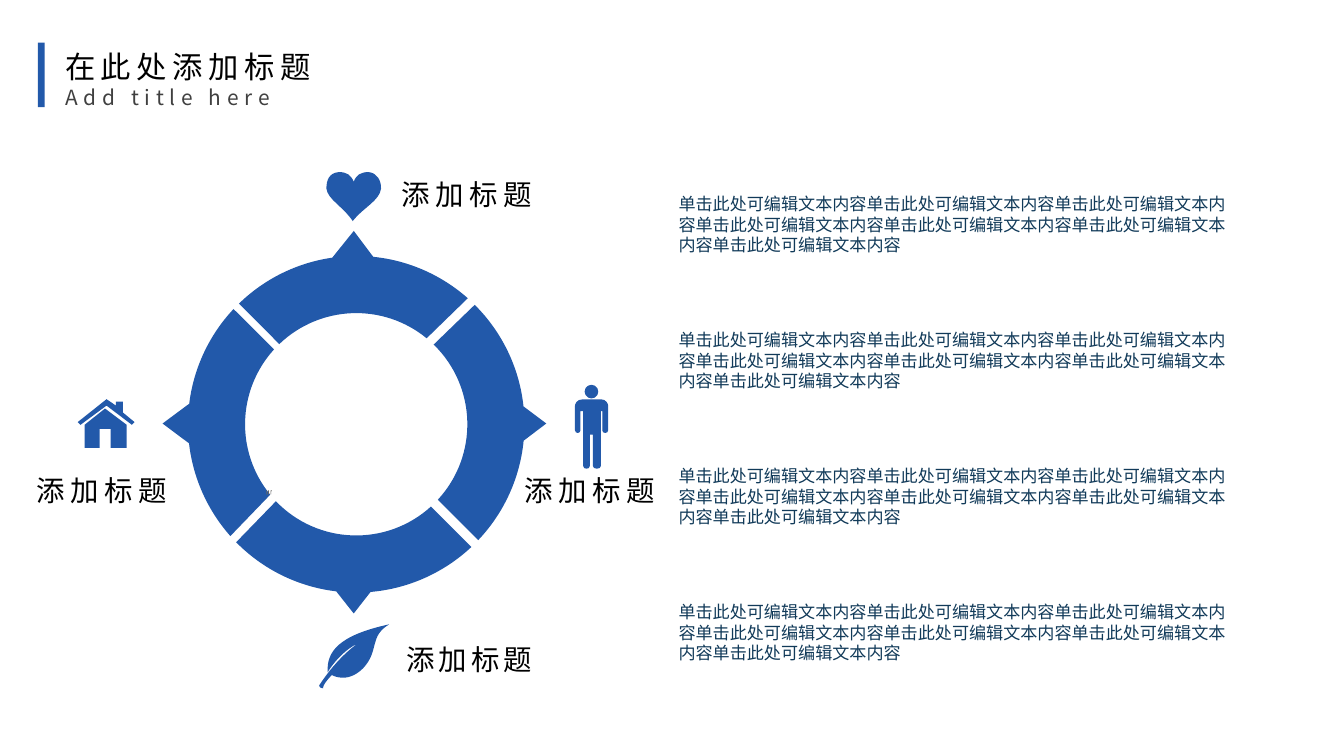
from math import cos, radians, sin, tan
from pptx import Presentation
from pptx.dml.color import RGBColor
from pptx.enum.shapes import MSO_SHAPE
from pptx.enum.text import MSO_ANCHOR, MSO_AUTO_SIZE, PP_ALIGN
from pptx.oxml.ns import qn
from pptx.util import Pt

BLUE = RGBColor(0x22, 0x59, 0xAA)
NAVY = RGBColor(0x11, 0x3A, 0x59)
BLACK = RGBColor(0, 0, 0)
DARK = RGBColor(0x40, 0x40, 0x40)
GREY = RGBColor(0x66, 0x66, 0x66)
SANS, BODY = "Noto Sans CJK SC", "Calibri"

TITLE = "在此处添加标题"
SUB = "Add title here"
LABEL = "添加标题"
NOTE = "单击此处可编辑文本内容" * 7
NOTES = [NOTE] * 4

LABELS = [
    (207.4, 335.5, 80, 2.2),
    (12, 246.5, 83.5, 3),
    (204.3, 90.5, 83.5, 3),
    (269.3, 246.5, 83.5, 3),
]

HUB = (187.8, 223.6)
OUTER, INNER = 88.7, 58.6
ARCS = [
    (46.8, 85.1, 96.8, 135.5, 136.2, 47.7, (186.5, 323.3)),
    (-45.2, -6.1, 5.6, 43.5, 42.7, -45.8, (288, 223.2)),
    (138.4, 173.5, 187, 223.2, 222.3, 140.7, (85.7, 223.2)),
    (225.8, 261.8, 275.8, 311.5, 309.3, 226.2, (186.5, 121.7)),
]

HOUSE = [(55.4, 215.3), (44.6, 223.9), (44.6, 236), (52.6, 236), (52.6, 226.1),
         (58.3, 226.1), (58.3, 236), (66.8, 236), (66.8, 223.9)]
ROOF = [(64.8, 217.4), (64.8, 211.7), (61.2, 211.7), (61.2, 213.8), (56.2, 210.4),
        (41, 222.5), (42.5, 223.9), (56.2, 213.8), (69.6, 223.9), (71, 222.5)]
MAN = [(316.8, 210.4), (307.4, 210.4), (303.8, 210.4, 303.1, 213.1, 303.1, 213.8),
       (303.1, 226.8), (303.1, 228.6, 306, 228.6, 306, 226.8), (306, 216.7),
       (307.4, 216.7), (307.4, 245.5), (307.4, 247.5, 311, 247.5, 311, 245.5),
       (311, 229), (312.5, 229), (312.5, 245.5),
       (312.5, 247.5, 316.8, 247.5, 316.8, 245.5), (316.8, 216.7), (317.5, 216.7),
       (317.5, 226.8), (317.5, 228.6, 320.6, 228.6, 320.6, 226.8), (320.6, 213.8),
       (320.6, 213.1, 319.7, 210.4, 316.8, 210.4)]
LEAF = [(168.3, 361.2), (168.3, 361.2, 168.3, 362.7, 170.4, 362.7),
        (169.9, 360.7, 175, 355.7, 175, 355.7),
        (175, 355.7, 182.9, 360.7, 191.5, 352.1),
        (200.2, 342.7, 194.4, 335.5, 205.2, 329),
        (178.6, 334.8, 172.1, 343.4, 172.8, 354.2),
        (175.7, 349.2, 182.2, 342, 188.6, 339.1),
        (178.6, 346.3, 171.4, 356.4, 168.3, 361.2)]
HEART = [(186.5, 95.8), (185, 92.2, 182.9, 90.7, 178.6, 90.7),
         (173.5, 91.2, 172.1, 95, 172.1, 99.4),
         (172.8, 105.1, 180.7, 108.7, 186, 116.5),
         (191.5, 109.4, 200.2, 105.8, 200.9, 99.4),
         (201, 95, 198.7, 91.2, 194.4, 90.7),
         (190.1, 90.7, 187.9, 92.2, 186.5, 95.8)]
MARKS = [
    [(140.4, 258.5), (140.7, 258.5), (140.7, 260.4), (141.2, 260.4),
     (141.2, 258.5), (141.8, 258.5), (141.8, 260.6), (140.4, 260.6)],
    [(142.6, 258.5), (143.3, 258.5), (143.3, 258.8), (142.9, 258.8),
     (142.9, 260.6), (142.6, 260.6)],
]


def paint(shape, color):
    shape.shadow.inherit = False
    shape.fill.solid()
    shape.fill.fore_color.rgb = color
    shape.line.fill.background()


def spot(size, angle):
    turn = radians(angle)
    return HUB[0] + size * cos(turn), HUB[1] + size * sin(turn)


def arc(size, start, end):
    pull = 4 / 3 * tan(radians(end - start) / 4)
    (x, y), (u, v) = spot(size, start), spot(size, end)
    return (x - pull * (y - HUB[1]), y + pull * (x - HUB[0]),
            u + pull * (v - HUB[1]), v - pull * (u - HUB[0]), u, v)


def ring(start, base, crest, end, back, front, tip):
    return [spot(OUTER, start), arc(OUTER, start, base), tip, spot(OUTER, crest),
            arc(OUTER, crest, end), spot(INNER, back), arc(INNER, back, front)]


def draw(slide, steps, color=BLUE):
    dots = [(Pt(s[i]), Pt(s[i + 1])) for s in steps for i in range(0, len(s), 2)]
    pen = slide.shapes.build_freeform(*dots[0])
    pen.add_line_segments(dots[1:], close=True)
    shape = pen.convert_to_shape()
    paint(shape, color)
    trail = shape._element.find(".//" + qn("a:path"))
    lines = iter(trail.findall(qn("a:lnTo")))
    for step in steps[1:]:
        group = [next(lines) for _ in range(len(step) // 2)]
        if len(group) == 3:
            curve = trail.makeelement(qn("a:cubicBezTo"), {})
            group[0].addprevious(curve)
            for line in group:
                curve.append(line[0])
                trail.remove(line)


def frame(shape, text, wrap):
    box = shape.text_frame
    box.text = text
    box.word_wrap = wrap
    box.auto_size = MSO_AUTO_SIZE.NONE
    box.vertical_anchor = MSO_ANCHOR.TOP
    box.margin_left = box.margin_right = Pt(5.1)
    box.margin_top = box.margin_bottom = Pt(2.6)
    return box.paragraphs


def style(line, size, font, color, align, gap=0):
    line.alignment = align
    for run in line.runs:
        run.font.size = Pt(size)
        run.font.name = font
        run.font.color.rgb = color
        props = run.font._element
        if gap:
            props.set("spc", str(round(gap * 100)))
        if font == SANS:
            props.find(qn("a:latin")).addnext(props.makeelement(qn("a:ea"), {"typeface": font}))


def main():
    deck = Presentation()
    deck.slide_width, deck.slide_height = Pt(708.5), Pt(396.8)
    slide = deck.slides.add_slide(deck.slide_layouts[5])
    shapes = slide.shapes

    title = shapes.title
    title.left, title.top, title.width, title.height = Pt(29.2), Pt(22.7), Pt(144.7), Pt(39.6)
    head, sub = frame(title, TITLE + "\n" + SUB, False)
    style(head, 16, SANS, BLACK, PP_ALIGN.LEFT, 3)
    style(sub, 11, SANS, DARK, PP_ALIGN.LEFT, 3)
    paint(shapes.add_shape(MSO_SHAPE.RECTANGLE, Pt(20), Pt(22.5), Pt(3.6), Pt(34)), BLUE)

    for part in ARCS:
        draw(slide, ring(*part))
    for icon in (HOUSE, ROOF, MAN, LEAF, HEART):
        draw(slide, icon)
    paint(shapes.add_shape(MSO_SHAPE.OVAL, Pt(308.2), Pt(202.8), Pt(7.2), Pt(7.2)), BLUE)
    for mark in MARKS:
        draw(slide, mark, GREY)

    for left, top, width, gap in LABELS:
        box = shapes.add_textbox(Pt(left), Pt(top), Pt(width), Pt(23.8))
        style(frame(box, LABEL, False)[0], 15, SANS, BLACK, PP_ALIGN.CENTER, gap)
    for i, note in enumerate(NOTES):
        box = shapes.add_textbox(Pt(352.6), Pt(99.4 + 71.7 * i), Pt(303.8), Pt(46.8))
        style(frame(box, note, True)[0], 9, BODY, NAVY, PP_ALIGN.LEFT)

    deck.save("out.pptx")


if __name__ == "__main__":
    main()
